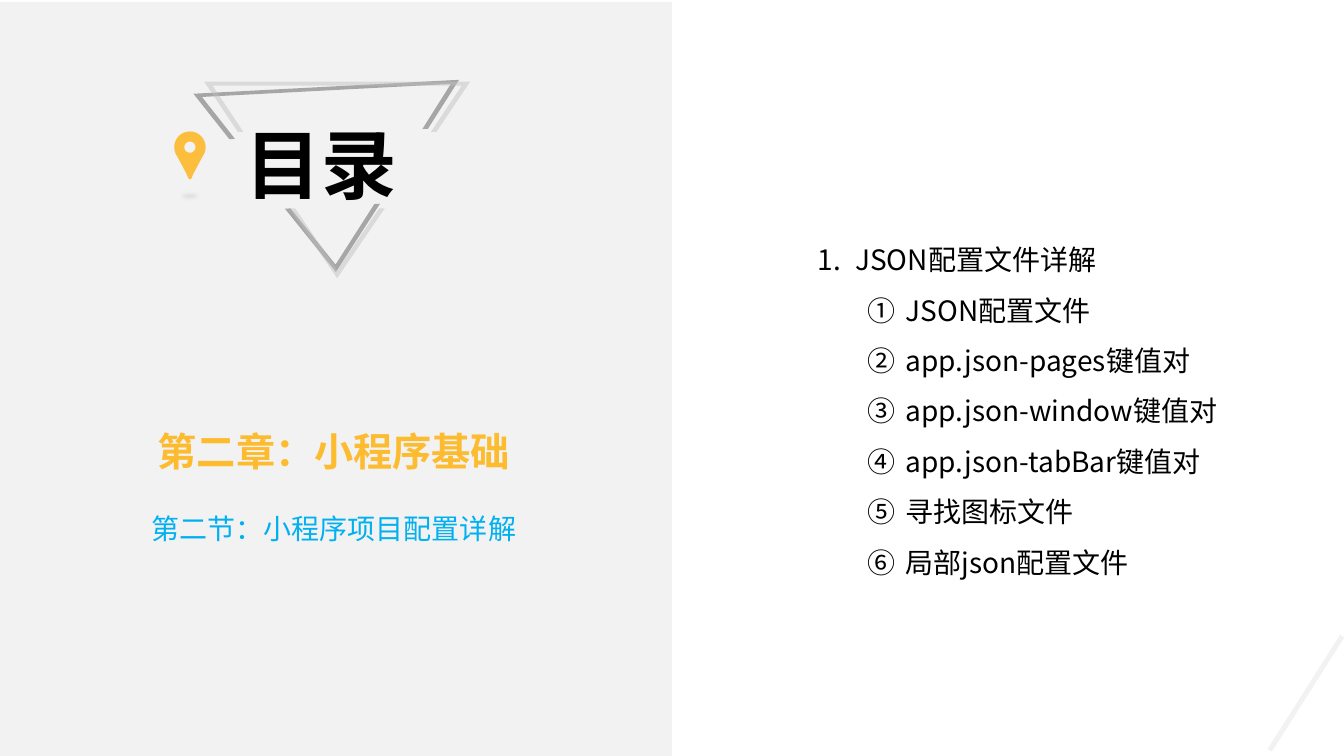
from math import cos, radians, sin

from pptx import Presentation
from pptx.dml.color import RGBColor
from pptx.enum.shapes import MSO_SHAPE
from pptx.enum.text import MSO_ANCHOR, MSO_AUTO_SIZE, PP_ALIGN
from pptx.oxml.ns import qn
from pptx.oxml.xmlchemy import OxmlElement
from pptx.util import Pt

FONT = "Noto Sans CJK SC"
PANEL_GRAY = "F2F2F2"
AMBER = "FDBB2F"
BLACK = "000000"
TOPICS = [
    "JSON配置文件",
    "app.json-pages键值对",
    "app.json-window键值对",
    "app.json-tabBar键值对",
    "寻找图标文件",
    "局部json配置文件",
]


def color(value):
    return RGBColor.from_string(value)


def add_child(parent, tag, **attributes):
    child = OxmlElement(tag)
    for name, value in attributes.items():
        child.set(name, str(value))
    parent.append(child)
    return child


def style_shape(shape, fill, opacity=100):
    shape.shadow.inherit = False
    shape.fill.solid()
    shape.fill.fore_color.rgb = color(fill)
    shape.line.fill.background()
    if opacity < 100:
        fill_color = shape._element.spPr.find(".//" + qn("a:srgbClr"))
        add_child(fill_color, "a:alpha", val=opacity * 1000)


def add_preset(slide, kind, left, top, width, height, fill, opacity=100):
    shape = slide.shapes.add_shape(kind, Pt(left), Pt(top), Pt(width), Pt(height))
    style_shape(shape, fill, opacity)
    return shape


def add_outline(slide, contours, fill, opacity=100):
    contours = [[(Pt(x), Pt(y)) for x, y in contour] for contour in contours]
    builder = slide.shapes.build_freeform(*contours[0][0])
    for index, contour in enumerate(contours):
        if index:
            builder.move_to(*contour[0])
        builder.add_line_segments(contour[1:], close=True)
    shape = builder.convert_to_shape()
    style_shape(shape, fill, opacity)
    return shape


def add_broken_triangle(slide, center, top, height, fill, opacity=100):
    upper_right = [(71, 0.255), (67, 0.255), (89, 0.02)]
    upper_left = [(-x, y) for x, y in reversed(upper_right)]
    upper = [(-95, 0), (95, 0)] + upper_right + upper_left
    lower = [(-34, 0.645), (-30, 0.645), (0, 0.96), (30, 0.645), (34, 0.645), (0, 1)]
    contours = [
        [(center + x, top + y * height) for x, y in contour]
        for contour in (lower, upper)
    ]
    return add_outline(slide, contours, fill, opacity)


def arc(center_x, center_y, radius, start, end):
    angles = [radians(angle) for angle in range(start, end + 1, 6)]
    return [(center_x + radius * cos(a), center_y + radius * sin(a)) for a in angles]


def add_pin(slide, x, y):
    tail = [(x + 2.6, y + 18.7), (x + 1, y + 22.4), (x, y + 23),
            (x - 1, y + 22.4), (x - 2.6, y + 18.7)]
    head = arc(x, y, 11.2, 144, 396)
    hole = arc(x, y, 4, 0, 354)
    add_outline(slide, [head + tail, hole], AMBER, 93)
    ground = add_preset(slide, MSO_SHAPE.OVAL, x - 11.2, y + 31, 22.4, 8, "D9D9D9", 82)
    effects = ground._element.spPr.find(qn("a:effectLst"))
    add_child(effects, "a:softEdge", rad=Pt(2.5))


def place_text(shape, left, top, width, height, wrap=True):
    shape.left, shape.top = Pt(left), Pt(top)
    shape.width, shape.height = Pt(width), Pt(height)
    frame = shape.text_frame
    frame.word_wrap = wrap
    frame.auto_size = MSO_AUTO_SIZE.SHAPE_TO_FIT_TEXT
    frame.vertical_anchor = MSO_ANCHOR.TOP
    return frame


def format_paragraph(paragraph, text, size, text_color, bold=False, align=PP_ALIGN.CENTER):
    paragraph.text = text
    paragraph.alignment = align
    font = paragraph.font
    font.name = FONT
    font.size = Pt(size)
    font.bold = bold
    font.color.rgb = color(text_color)
    defaults = paragraph._p.get_or_add_pPr().find(qn("a:defRPr"))
    add_child(defaults, "a:ea", typeface=FONT)


def add_heading(slide, text, top, height, size, text_color, bold=False):
    box = slide.shapes.add_textbox(0, 0, 0, 0)
    frame = place_text(box, 65, top, 347, height)
    format_paragraph(frame.paragraphs[0], text, size, text_color, bold)


def number_paragraph(paragraph, margin, hanging, scheme):
    properties = paragraph._p.get_or_add_pPr()
    properties.set("marL", str(Pt(margin)))
    properties.set("indent", str(Pt(-hanging)))
    add_child(properties, "a:buFont", typeface="+mj-lt")
    add_child(properties, "a:buAutoNum", type=scheme)


def fill_contents(frame):
    entries = [("JSON配置文件详解", 0, 27, "arabicPeriod")]
    entries += [(topic, 1, 63, "circleNumDbPlain") for topic in TOPICS]
    for index, (text, level, margin, scheme) in enumerate(entries):
        paragraph = frame.add_paragraph() if index else frame.paragraphs[0]
        paragraph.level = level
        number_paragraph(paragraph, margin, 27, scheme)
        paragraph.line_spacing = 1.5
        paragraph.space_before = Pt(0)
        format_paragraph(paragraph, text, 20, BLACK, align=PP_ALIGN.LEFT)


def main():
    presentation = Presentation()
    presentation.slide_width, presentation.slide_height = Pt(960), Pt(540)
    slide = presentation.slides.add_slide(presentation.slide_layouts[1])
    title, contents = slide.placeholders

    panel = add_preset(slide, MSO_SHAPE.RECTANGLE, 0, 1.4, 480, 540, PANEL_GRAY)
    title._element.addprevious(panel._element)

    title_frame = place_text(title, 168.5, 80.6, 124, 72.7, wrap=False)
    format_paragraph(title_frame.paragraphs[0], "目录", 54, BLACK, True, PP_ALIGN.LEFT)
    add_heading(slide, "第二章：小程序基础", 301.7, 41, 28, AMBER, True)

    add_pin(slide, 135.7, 105.1)
    dark = add_broken_triangle(slide, 236.5, 61.9, 132.5, "A6A6A6")
    dark.rotation = -3
    add_broken_triangle(slide, 240.8, 58.3, 140.4, "BFBFBF", 47)

    stroke = add_preset(slide, MSO_SHAPE.RECTANGLE, 931, 447, 3.6, 96.5, PANEL_GRAY)
    stroke.rotation = 32.4

    add_heading(slide, "第二节：小程序项目配置详解", 362, 31.7, 20, "00B0F0")
    fill_contents(place_text(contents, 576.7, 157.7, 313, 261.4))
    presentation.save("out.pptx")


main()
